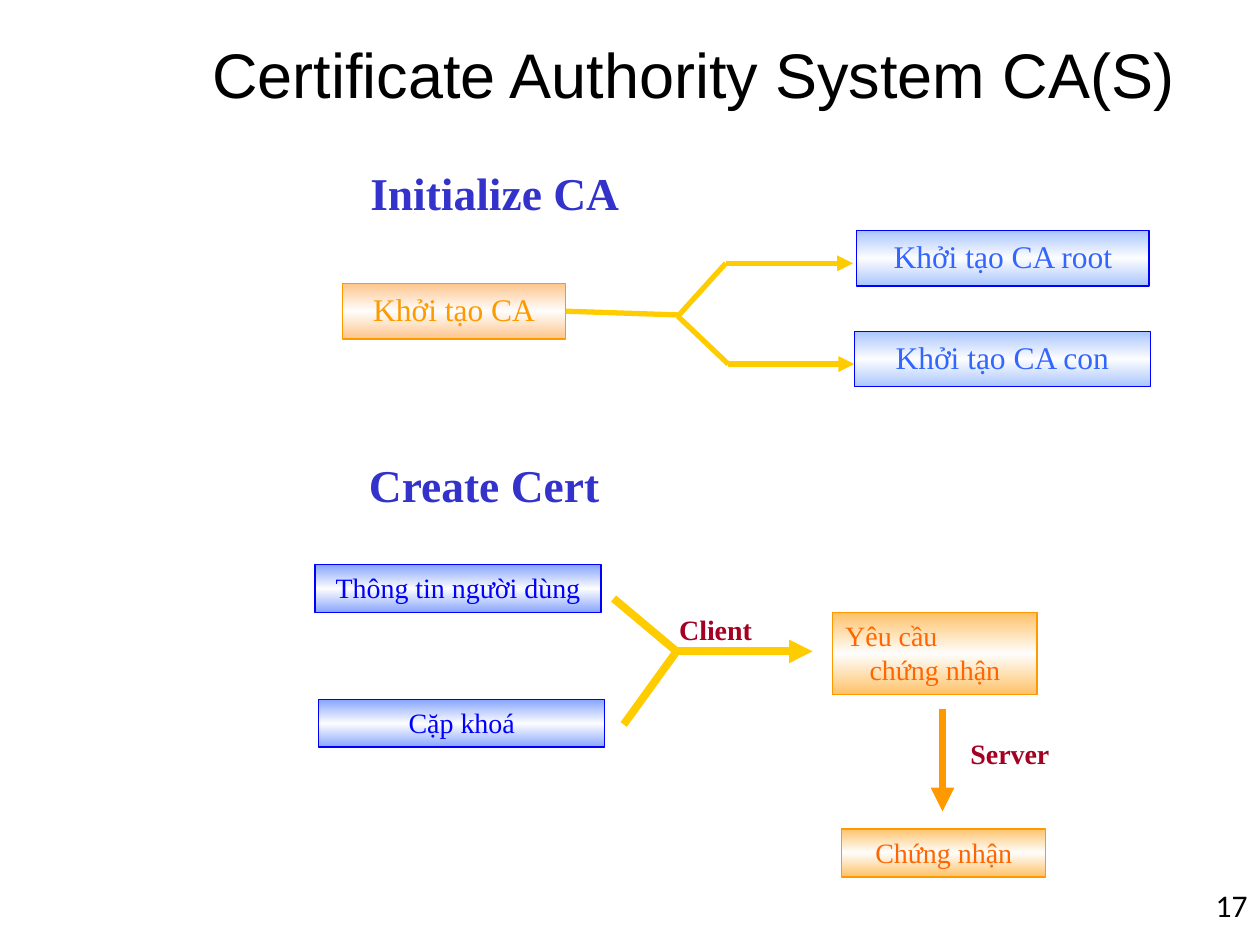
import itertools
import pptx
import pptx.dml.color
import pptx.enum.shapes
import pptx.enum.text
import pptx.oxml
import pptx.oxml.ns
import pptx.util

SLIDE_WIDTH = pptx.util.Inches(10)
SLIDE_HEIGHT = pptx.util.Inches(7.5)
COLUMN = SLIDE_WIDTH / 100
ROW = SLIDE_HEIGHT / 75
SERIF = "Times New Roman"
ALIGN = pptx.enum.text.PP_ALIGN
ANCHOR = pptx.enum.text.MSO_ANCHOR
AUTO_SIZE = pptx.enum.text.MSO_AUTO_SIZE
COLORS = {
    "black": "000000",
    "heading": "3333CC",
    "label": "A50021",
    "yellow": "FFCC00",
    "orange": "FF9900",
    "blue": "0000FF",
}
BOX_STYLES = {
    "start": {"fill": "FF9933", "alpha": 56, "line": "FF9900", "text": "FF9900", "size": 18},
    "branch": {"fill": "6699FF", "alpha": 56, "line": "0000FF", "text": "3366FF", "size": 18},
    "input": {"fill": "3366FF", "alpha": 60, "line": "0000FF", "text": "0000FF", "size": 16},
    "certificate": {"fill": "FF9900", "alpha": 60, "line": "FF9900", "text": "FF6600", "size": 16},
}


def color(value):
    return pptx.dml.color.RGBColor.from_string(value)


def across(columns):
    return round(columns * COLUMN)


def down(rows):
    return round(rows * ROW)


def area(left, top, width, height):
    return across(left), down(top), across(width), down(height)


def write(frame, lines, size, text_color, font=SERIF, bold=False, align=ALIGN.CENTER):
    frame.text = lines
    for paragraph in frame.paragraphs:
        paragraph.alignment = align
        paragraph.font.size = pptx.util.Pt(size)
        paragraph.font.name = font
        paragraph.font.bold = bold
        paragraph.font.color.rgb = color(text_color)


def add_title(slide, text):
    title = slide.shapes.title
    title.left, title.top, title.width, title.height = area(15.1, 0.5, 79.9, 10.6)
    title.text_frame.auto_size = AUTO_SIZE.NONE
    title.text_frame.vertical_anchor = ANCHOR.MIDDLE
    write(title.text_frame, text, 36, COLORS["black"], "Arial")


def add_text(slide, place, text, size, text_color, wrap=True, **style):
    frame = slide.shapes.add_textbox(*area(*place)).text_frame
    frame.word_wrap = wrap
    write(frame, text, size, text_color, **style)


def add_heading(slide, place, text):
    add_text(slide, place, text, 26, COLORS["heading"], wrap=False, bold=True, align=ALIGN.LEFT)


def add_label(slide, place, text):
    add_text(slide, place, text, 16, COLORS["label"], bold=True)


def fill_gradient(shape, edge, alpha):
    stops = "".join(
        f'<a:gs pos="{position * 1000}"><a:srgbClr val="{value}">'
        f'<a:alpha val="{alpha * 1000}"/></a:srgbClr></a:gs>'
        for position, value in ((0, edge), (50, "FFFFFF"), (100, edge))
    )
    gradient = pptx.oxml.parse_xml(
        f'<a:gradFill {pptx.oxml.ns.nsdecls("a")} rotWithShape="1">'
        f'<a:gsLst>{stops}</a:gsLst><a:lin ang="5400000" scaled="1"/></a:gradFill>'
    )
    shape.element.spPr.find(pptx.oxml.ns.qn("a:prstGeom")).addnext(gradient)


def add_box(slide, place, text, style_name):
    style = BOX_STYLES[style_name]
    box = slide.shapes.add_shape(pptx.enum.shapes.MSO_SHAPE.RECTANGLE, *area(*place))
    box.shadow.inherit = False
    fill_gradient(box, style["fill"], style["alpha"])
    box.line.color.rgb = color(style["line"])
    box.line.width = pptx.util.Pt(0.75)
    frame = box.text_frame
    frame.word_wrap = True
    frame.auto_size = AUTO_SIZE.SHAPE_TO_FIT_TEXT
    frame.vertical_anchor = ANCHOR.TOP
    write(frame, text, style["size"], style["text"])
    return box


def add_line(slide, start, end, line_color, width, arrow=False):
    connector = slide.shapes.add_connector(
        pptx.enum.shapes.MSO_CONNECTOR.STRAIGHT,
        across(start[0]), down(start[1]), across(end[0]), down(end[1]),
    )
    connector.line.color.rgb = color(line_color)
    connector.line.width = pptx.util.Pt(width)
    properties = connector.element.spPr
    if arrow:
        connector.line._get_or_add_ln().append(
            pptx.oxml.parse_xml(f'<a:tailEnd {pptx.oxml.ns.nsdecls("a")} type="triangle"/>')
        )
    properties.append(pptx.oxml.parse_xml(f'<a:effectLst {pptx.oxml.ns.nsdecls("a")}/>'))
    return connector


def add_path(slide, points, line_color, width):
    for start, end in itertools.pairwise(points):
        add_line(slide, start, end, line_color, width, arrow=end == points[-1])


def add_initialize_section(slide):
    add_heading(slide, (28.4, 12.6, 21.8, 5.3), "Initialize CA")
    start = add_box(slide, (27.2, 22.5, 17.7, 4.4), "Khởi tạo CA", "start")
    fork = (53.8, 25.1)
    stem = add_line(slide, (44.9, 24.9), (54, 25), COLORS["yellow"], 3)
    stem.begin_connect(start, 3)
    add_path(slide, [fork, (57.6, 20.9), (67.7, 20.9)], COLORS["yellow"], 3)
    add_path(slide, [fork, (57.8, 28.9), (67.8, 28.9)], COLORS["yellow"], 3)
    add_box(slide, (68, 18.3, 23.2, 4.4), "Khởi tạo CA root", "branch")
    add_box(slide, (67.8, 26.3, 23.5, 4.4), "Khởi tạo CA con", "branch")


def add_certificate_section(slide):
    add_heading(slide, (28.3, 35.8, 20.3, 5.3), "Create Cert")
    add_box(slide, (25, 44.8, 22.7, 3.8), "Thông tin người dùng", "input")
    add_box(slide, (25.3, 55.5, 22.7, 3.8), "Cặp khoá", "input")

    merge = (53.7, 51.7)
    add_line(slide, (49.5, 57.5), merge, COLORS["yellow"], 4.5)
    add_path(slide, [(48.7, 47.5), merge, (64.5, 51.7)], COLORS["yellow"], 4.5)
    add_label(slide, (51.6, 48.1, 10.4, 3.7), "Client")

    request = add_box(slide, (66.1, 48.6, 16.2, 6.5), "Yêu cầu\nchứng nhận", "certificate")
    request.text_frame.paragraphs[0].alignment = ALIGN.LEFT
    add_box(slide, (66.8, 65.8, 16.2, 3.8), "Chứng nhận", "certificate")
    add_line(slide, (74.8, 56.3), (74.8, 64.4), COLORS["orange"], 4.5, arrow=True)
    add_label(slide, (75.6, 58, 9.1, 3.7), "Server")


def main():
    presentation = pptx.Presentation()
    presentation.slide_width = SLIDE_WIDTH
    presentation.slide_height = SLIDE_HEIGHT
    slide = presentation.slides.add_slide(presentation.slide_layouts[5])
    add_title(slide, "Certificate Authority System CA(S)")
    add_initialize_section(slide)
    add_certificate_section(slide)
    add_text(slide, (76.7, 69.8, 23.3, 5.2), "17", 18, COLORS["black"],
             font="Calibri", align=ALIGN.RIGHT)
    presentation.save("out.pptx")


if __name__ == "__main__":
    main()
